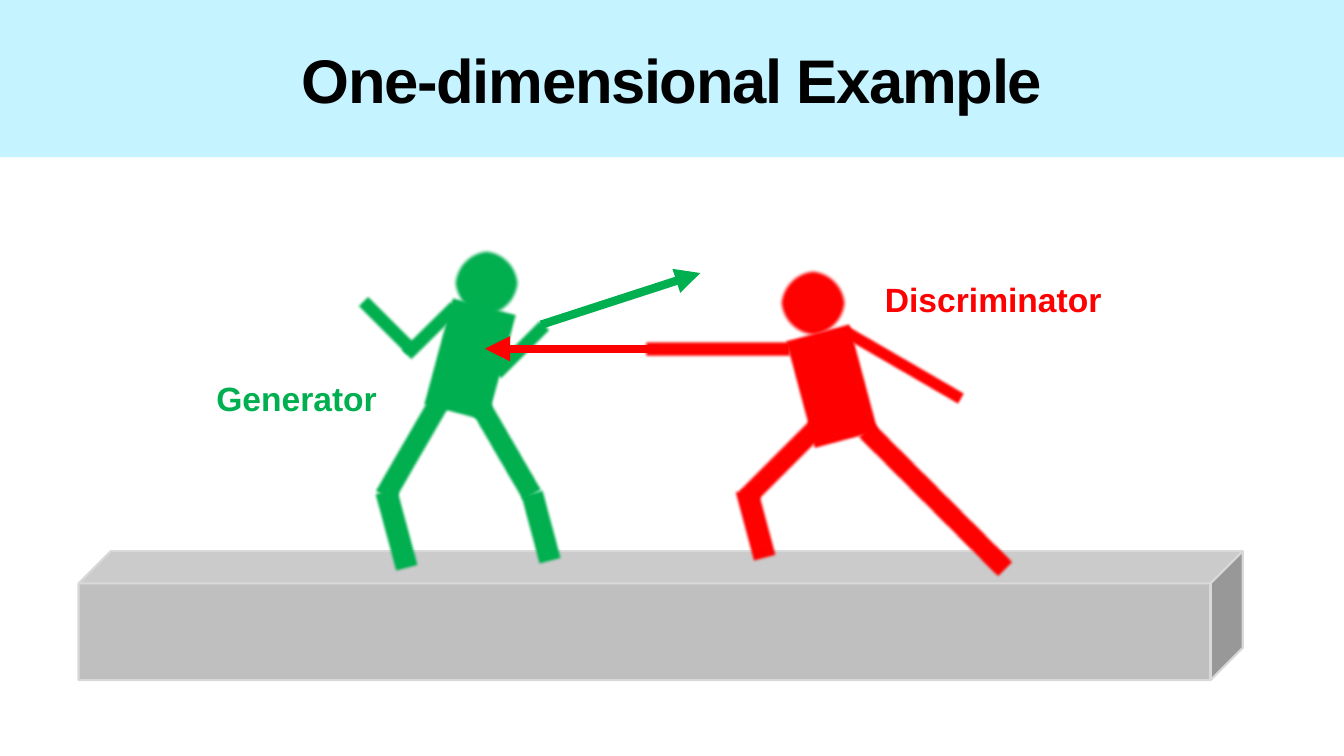
from dataclasses import dataclass

import lxml.etree
import pptx
import pptx.dml.color
import pptx.enum.shapes
import pptx.enum.text
import pptx.oxml.ns
import pptx.util

Cm = pptx.util.Cm
Pt = pptx.util.Pt
SHAPE = pptx.enum.shapes.MSO_SHAPE
COLORS = {
    "generator": "00B050",
    "discriminator": "FF0000",
    "beam": "BFBFBF",
    "beam_edge": "D9D9D9",
    "banner": "C5F3FF",
    "title": "000000",
}
SOFT_EDGE = Pt(2.5)
HEAD_SIZE = 1.73
TORSO_SIZE = (1.88, 3.0)


@dataclass
class Part:
    left: float
    top: float
    width: float
    height: float
    rotation: float = 0


@dataclass
class Fencer:
    name: str
    color: str
    head: tuple[float, float]
    torso: tuple[float, float, float]
    limbs: list[Part]
    sword: tuple[float, float, float, float]
    label: Part
    grouped: bool = False


FENCERS = [
    Fencer(
        "Generator", "generator", (11.4, 6.27), (10.9, 7.57, 15),
        [
            Part(10.01, 9.68, 0.81, 3.15, 30),
            Part(9.58, 12.22, 0.81, 2.24, 345),
            Part(12.37, 9.96, 0.81, 2.82, 330),
            Part(13.23, 12.27, 0.81, 2.01, 345),
            Part(12.8, 7.8, 0.64, 2.01, 45),
            Part(10.54, 7.32, 0.64, 2.01, 45),
            Part(9.45, 7.19, 0.64, 2.01, 315),
        ],
        (13.64, 8.18, 17.65, 6.88), Part(5.05, 9.4, 4.85, 1.27),
    ),
    Fencer(
        "Discriminator", "discriminator", (19.63, 6.78), (20.02, 8.23, 345),
        [
            Part(19.28, 10.24, 0.81, 2.82, 45),
            Part(18.64, 12.19, 0.81, 2.01, 345),
            Part(23.19, 9.98, 0.79, 5.21, 315),
            Part(22.48, 7.39, 0.56, 3.61, 120),
            Part(17.83, 6.88, 0.53, 3.81, 90),
        ],
        (16.64, 8.79, 12.22, 8.79), Part(22.02, 6.91, 6.02, 1.27), True,
    ),
]


def rgb(color: str) -> pptx.dml.color.RGBColor:
    return pptx.dml.color.RGBColor.from_string(COLORS[color])


def add_child(parent, tag: str, **attributes: str):
    return lxml.etree.SubElement(parent, pptx.oxml.ns.qn(tag), attributes)


def add_block(shapes, kind, part: Part, color: str):
    shape = shapes.add_shape(
        kind, Cm(part.left), Cm(part.top), Cm(part.width), Cm(part.height))
    shape.rotation = part.rotation
    shape.shadow.inherit = False
    shape.fill.solid()
    shape.fill.fore_color.rgb = rgb(color)
    shape.line.fill.background()
    return shape


def add_body_part(shapes, kind, part: Part, color: str) -> None:
    shape = add_block(shapes, kind, part, color)
    effects = shape._element.spPr.find(pptx.oxml.ns.qn("a:effectLst"))
    add_child(effects, "a:softEdge", rad=str(SOFT_EDGE))


def set_text(shape, text: str, size: float, color: str):
    shape.text_frame.text = text
    paragraph = shape.text_frame.paragraphs[0]
    paragraph.alignment = pptx.enum.text.PP_ALIGN.CENTER
    run = paragraph.runs[0]
    run.font.name = "Arial"
    run.font.size = Pt(size)
    run.font.bold = True
    run.font.color.rgb = rgb(color)
    return run


def add_sword(shapes, ends: tuple[float, float, float, float], color: str) -> None:
    sword = shapes.add_connector(
        pptx.enum.shapes.MSO_CONNECTOR.STRAIGHT, *(Cm(end) for end in ends))
    sword.line.color.rgb = rgb(color)
    sword.line.width = Pt(6)
    add_child(sword.line._get_or_add_ln(), "a:tailEnd", type="triangle")
    add_child(sword._element.spPr, "a:effectLst")


def add_label(shapes, text: str, part: Part, color: str) -> None:
    label = shapes.add_textbox(
        Cm(part.left), Cm(part.top), Cm(part.width), Cm(part.height))
    label.text_frame.word_wrap = True
    set_text(label, text, 24, color)


def add_fencer(slide, fencer: Fencer) -> None:
    shapes = slide.shapes.add_group_shape().shapes if fencer.grouped else slide.shapes
    head = Part(*fencer.head, HEAD_SIZE, HEAD_SIZE)
    torso_left, torso_top, torso_tilt = fencer.torso
    torso = Part(torso_left, torso_top, *TORSO_SIZE, torso_tilt)
    add_body_part(shapes, SHAPE.OVAL, head, fencer.color)
    for part in [torso, *fencer.limbs]:
        add_body_part(shapes, SHAPE.RECTANGLE, part, fencer.color)
    add_sword(shapes, fencer.sword, fencer.color)
    add_label(shapes, fencer.name, fencer.label, fencer.color)


def main() -> None:
    presentation = pptx.Presentation()
    presentation.slide_width = Cm(33.87)
    presentation.slide_height = Cm(19.05)
    slide = presentation.slides.add_slide(presentation.slide_layouts[6])

    beam = add_block(slide.shapes, SHAPE.CUBE, Part(1.98, 13.89, 29.34, 3.25), "beam")
    beam.line.color.rgb = rgb("beam_edge")
    beam.line.width = Pt(1.5)

    banner = add_block(slide.shapes, SHAPE.RECTANGLE, Part(0, 0, 33.87, 3.96), "banner")
    banner.text_frame.vertical_anchor = pptx.enum.text.MSO_ANCHOR.MIDDLE
    title = set_text(banner, "One-dimensional Example", 44, "title")
    title._r.get_or_add_rPr().set("spc", "-100")

    for fencer in FENCERS:
        add_fencer(slide, fencer)
    presentation.save("out.pptx")


if __name__ == "__main__":
    main()
